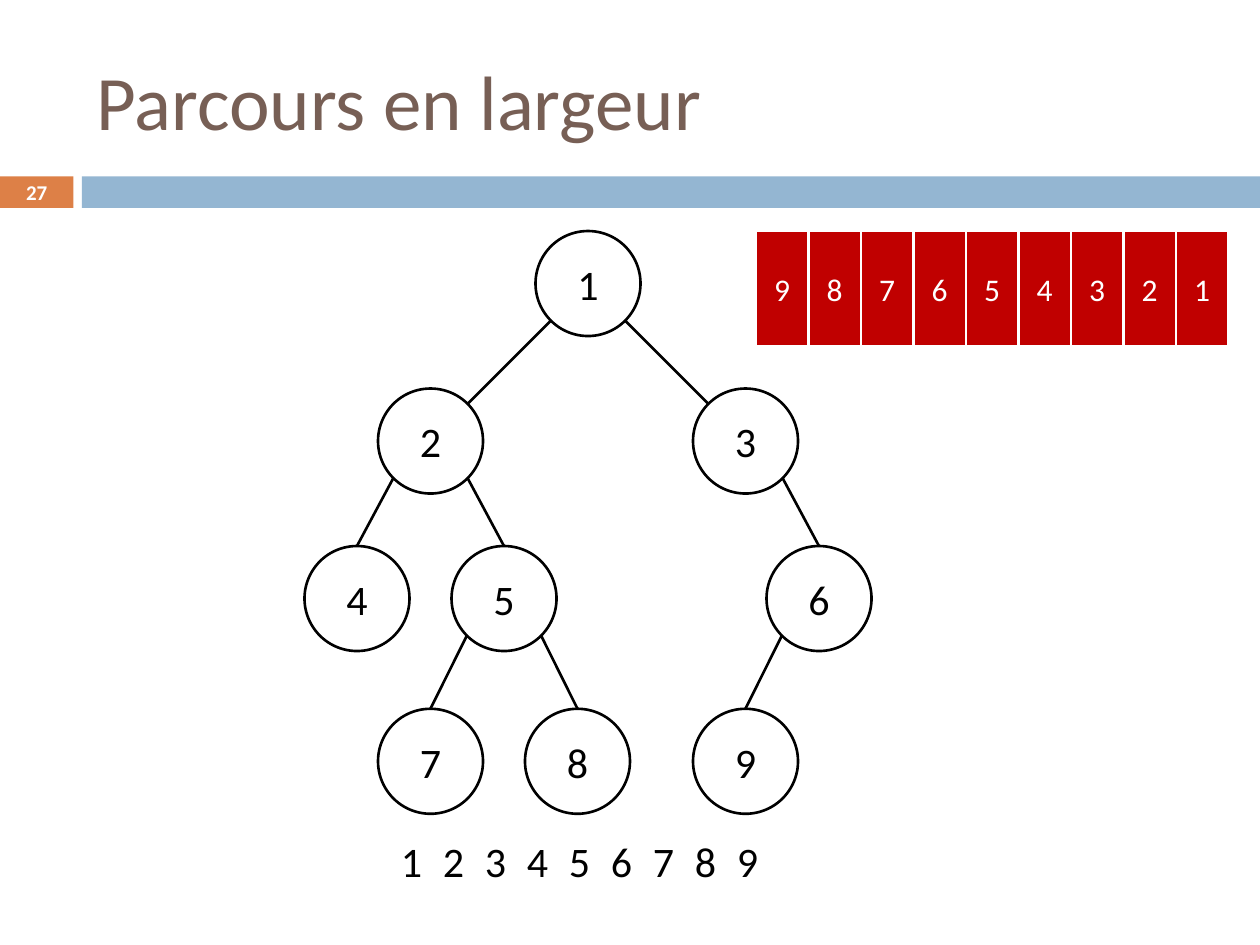
from dataclasses import dataclass
from math import sqrt

from lxml.etree import SubElement
from pptx import Presentation
from pptx.dml.color import RGBColor as RGB
from pptx.enum.shapes import MSO_CONNECTOR as Link, MSO_SHAPE as Form
from pptx.enum.text import MSO_ANCHOR as Anchor, MSO_AUTO_SIZE as Fit, PP_ALIGN as Align
from pptx.oxml.ns import qn
from pptx.util import Inches, Pt


@dataclass(frozen=True)
class Theme:
    font: str = "Calibri"
    black: str = "000000"
    white: str = "FFFFFF"
    brown: str = "775F55"
    orange: str = "DD8047"
    blue: str = "94B6D2"
    red: str = "C00000"
    title: float = 44
    label: float = 24
    cell: float = 18
    page: float = 12
    line: float = 1.5


T = Theme()
UNIT = 1 / 12  # grid step in inches: 120 columns by 90 rows
SIZE = 10  # node diameter in grid steps

# Node number: column and row of its top left corner
NODES = {
    1: (51, 22),
    2: (36, 37), 3: (66, 37),
    4: (29, 52), 5: (43, 52), 6: (73, 52),
    7: (36, 67.5), 8: (50, 67.5), 9: (66, 67.5),
}
EDGES = [(1, 2), (1, 3), (2, 4), (2, 5), (3, 6), (5, 7), (5, 8), (6, 9)]


def grid(*steps):
    return [Inches(step * UNIT) for step in steps]


def write(item, text, size, color, align=Align.CENTER, bold=False, anchor=Anchor.MIDDLE):
    frame = item.text_frame
    frame.word_wrap = True
    frame.vertical_anchor = anchor
    para = frame.paragraphs[0]
    para.alignment = align
    run = para.add_run()
    run.text = text
    font = run.font
    font.name, font.size, font.bold = T.font, Pt(size), bold
    font.color.rgb = RGB.from_string(color)


def add_form(slide, form, box, fill=None, line=None):
    shape = slide.shapes.add_shape(form, *grid(*box))
    shape.shadow.inherit = False
    if fill:
        shape.fill.solid()
        shape.fill.fore_color.rgb = RGB.from_string(fill)
    else:
        shape.fill.background()
    if line:
        shape.line.color.rgb = RGB.from_string(line)
        shape.line.width = Pt(T.line)
    else:
        shape.line.fill.background()
    return shape


def add_text(slide, box, text, size, color, **style):
    item = slide.shapes.add_textbox(*grid(*box))
    write(item, text, size, color, **style)
    return item


def add_head(slide, text, page):
    # Title
    title = slide.shapes.title
    title.left, title.top, title.width, title.height = grid(8, 3, 107, 13)
    write(title, text, T.title, T.brown, align=Align.LEFT)
    title.text_frame.auto_size = Fit.NONE
    # Band with page number
    add_form(slide, Form.RECTANGLE, (0, 16.8, 7, 3), T.orange)
    add_form(slide, Form.RECTANGLE, (7.8, 16.8, 112.2, 3), T.blue)
    num = add_text(slide, (0, 16.7, 7, 3.2), page, T.page, T.white, bold=True)
    frame = num.text_frame
    frame.margin_top = frame.margin_bottom = 0


def add_node(slide, num, spot):
    node = add_form(slide, Form.OVAL, (*spot, SIZE, SIZE), line=T.black)
    write(node, str(num), T.label, T.black)
    return node


def add_edge(slide, nodes, start, end):
    (px, py), (cx, cy) = NODES[start], NODES[end]
    half = SIZE / 2
    diag = half / sqrt(2)  # offset of a point at 45 degrees on the circle
    side = 1 if cx > px else -1
    head = (px + half + side * diag, py + half + diag)
    slant = start == 1  # the root's edges meet the child at 45 degrees
    tail = (cx + half - side * diag, cy + half - diag) if slant else (cx + half, cy)
    edge = slide.shapes.add_connector(Link.STRAIGHT, *grid(*head, *tail))
    if not slant:
        edge.end_connect(nodes[end], 0)
    edge.line.color.rgb = RGB.from_string(T.black)
    edge.line.width = Pt(T.line)
    SubElement(edge.element.spPr, qn("a:effectLst"))


def add_queue(slide, nums):
    # First in at the right end
    for col, num in enumerate(reversed(nums)):
        cell = add_form(slide, Form.RECTANGLE, (72 + 5 * col, 22, 5, 11), T.red, T.white)
        write(cell, str(num), T.cell, T.white)


def add_order(slide, nums):
    for col, num in enumerate(nums):
        add_text(slide, (37 + 4 * col, 79, 4.1, 6), str(num), T.label, T.black,
                 align=Align.LEFT, anchor=Anchor.TOP)


def main():
    deck = Presentation()
    deck.slide_width, deck.slide_height = grid(120, 90)
    slide = deck.slides.add_slide(deck.slide_layouts[5])
    add_head(slide, "Parcours en largeur", "27")

    # Tree
    nodes = {num: add_node(slide, num, spot) for num, spot in NODES.items()}
    for start, end in EDGES:
        add_edge(slide, nodes, start, end)

    # Queue and visiting order
    nums = list(NODES)
    add_queue(slide, nums)
    add_order(slide, nums)
    deck.save("out.pptx")


if __name__ == "__main__":
    main()
